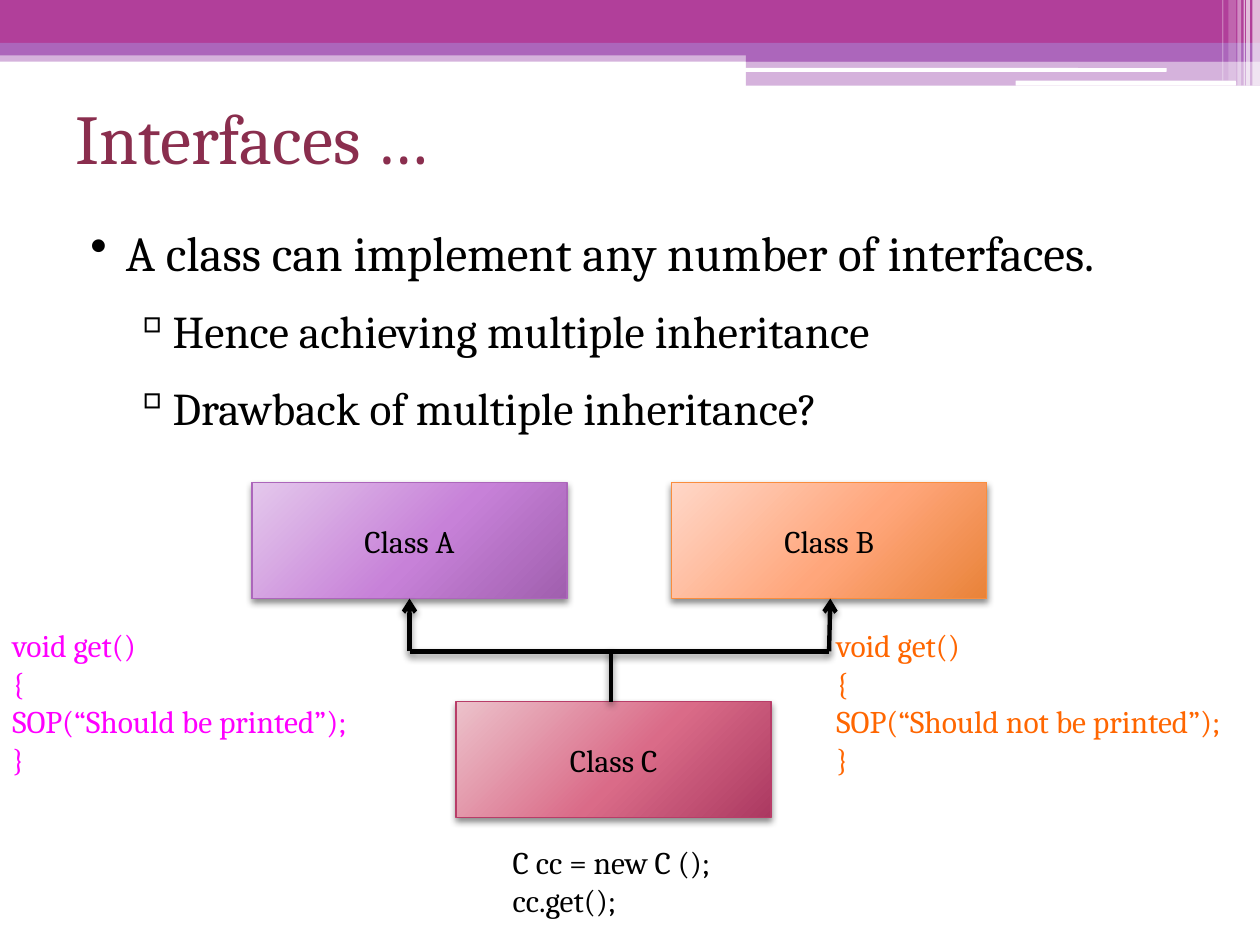
from dataclasses import dataclass

from pptx import Presentation
from pptx.dml.color import RGBColor
from pptx.enum.shapes import MSO_CONNECTOR, MSO_SHAPE
from pptx.enum.text import MSO_ANCHOR, MSO_AUTO_SIZE, PP_ALIGN
from pptx.oxml import parse_xml
from pptx.oxml.ns import qn
from pptx.util import Inches, Pt

RECTANGLE, ROUNDED = MSO_SHAPE.RECTANGLE, MSO_SHAPE.ROUNDED_RECTANGLE
STRAIGHT = MSO_CONNECTOR.STRAIGHT
MIDDLE, CENTER = MSO_ANCHOR.MIDDLE, PP_ALIGN.CENTER
GROW = MSO_AUTO_SIZE.SHAPE_TO_FIT_TEXT
NAMESPACE = 'xmlns:a="http://schemas.openxmlformats.org/drawingml/2006/main"'


@dataclass(frozen=True)
class Theme:
    """Colours and type sizes of the slide."""
    font: str = "Cambria"
    magenta: str = "B13F9A"
    purple: str = "AC66BB"
    white: str = "FFFFFF"
    black: str = "000000"
    title: str = "8A2E4E"
    pink_code: str = "FF00FF"
    orange_code: str = "FF6600"
    title_size: float = 40
    bullet_size: float = 28
    sub_bullet_size: float = 26
    label_size: float = 18


@dataclass(frozen=True)
class Band:
    """One plain rectangle of the header."""
    left: float
    top: float
    width: float
    height: float
    color: str
    opacity: int = 100
    kind: int = RECTANGLE


@dataclass(frozen=True)
class ClassBox:
    """A class with its gradient colours and outline."""
    name: str
    left: float
    top: float
    gradient: tuple[str, str, str]
    outline: str


@dataclass(frozen=True)
class Link:
    """A line between two points."""
    start: tuple[float, float]
    end: tuple[float, float]
    arrow: bool = False


@dataclass(frozen=True)
class Code:
    """A block of code lines."""
    left: float
    top: float
    width: float
    height: float
    color: str
    lines: tuple[str, ...]


@dataclass(frozen=True)
class Bullet:
    """A bulleted paragraph."""
    text: str
    mark: str
    size: float
    margin: float
    indent: float
    level: int = 0


THEME = Theme()
BOX_WIDTH, BOX_HEIGHT = 2.5, 0.92
BANDS = [
    Band(0, 0.4, 10, 0.09, THEME.purple, 50),
    Band(0, 0, 10, 0.34, THEME.magenta),
    Band(0, 0.34, 10, 0.1, THEME.purple),
    Band(5.92, 0.39, 4.08, 0.1, THEME.purple),
    Band(5.92, 0.48, 4.08, 0.2, THEME.purple, 50),
    Band(5.91, 0.54, 3.35, 0.03, THEME.white, 100, ROUNDED),
    Band(8.06, 0.64, 1.75, 0.04, THEME.white, 100, ROUNDED),
] + [
    Band(left, 0, width, height, THEME.white, opacity)
    for left, width, height, opacity in [
        (9.94, 0.06, 0.68, 65), (9.89, 0.03, 0.68, 65), (9.87, 0.01, 0.68, 60),
        (9.82, 0.03, 0.68, 40), (9.75, 0.06, 0.64, 20), (9.7, 0.01, 0.64, 30)]
]
BULLETS = [
    Bullet("A class can implement any number of interfaces.", "•",
           THEME.bullet_size, 0.4, -0.28),
    Bullet("Hence achieving multiple inheritance", "▫",
           THEME.sub_bullet_size, 0.72, -0.27, 1),
    Bullet("Drawback of multiple inheritance?", "▫",
           THEME.sub_bullet_size, 0.72, -0.27, 1),
]
CLASSES = [
    ClassBox("Class A", 2, 3.83, ("E4C8EC", "C781D8", "A05FAE"), "AC66BB"),
    ClassBox("Class B", 5.33, 3.83, ("FFD7C8", "FFA67B", "E98339"), "FA8D3D"),
    ClassBox("Class C", 3.62, 5.57, ("ECC2CB", "DA6B88", "AB3961"), "B83D68"),
]
LINKS = [
    Link((6.58, 5.17), (6.59, 4.75), True),
    Link((3.25, 5.17), (3.25, 4.75), True),
    Link((4.85, 5.57), (4.85, 5.15)),
    Link((3.25, 5.17), (6.58, 5.17)),
]
CODES = [
    Code(6.54, 4.92, 3.6, 1.31, THEME.orange_code,
         ("void get()", "{", "SOP(“Should not be printed”);", "}")),
    Code(0, 4.92, 3.16, 1.31, THEME.pink_code,
         ("void get()", "{", "SOP(“Should be printed”);", "}")),
    Code(3.97, 6.64, 1.95, 0.71, THEME.black, ("C cc = new C ();", "cc.get();")),
]


def xml(text: str):
    """Make a drawing element, adding the namespace to its first tag."""
    tag, rest = text.split(" ", 1)
    return parse_xml(f"{tag} {NAMESPACE} {rest}")


def soft_shadow():
    """Return the effect list shared by boxes and lines."""
    return xml('<a:effectLst ><a:outerShdw blurRad="50800" dist="25400" dir="5400000" '
               'rotWithShape="0"><a:srgbClr val="000000"><a:alpha val="45000"/>'
               '</a:srgbClr></a:outerShdw></a:effectLst>')


def style_text(paragraph, size: float, color: str) -> None:
    """Format every run of a paragraph."""
    for run in paragraph.runs:
        run.font.name, run.font.size = THEME.font, Pt(size)
        run.font.color.rgb = RGBColor.from_string(color)


def add_band(slide, band: Band) -> None:
    """Draw one header band."""
    shape = slide.shapes.add_shape(band.kind, Inches(band.left), Inches(band.top),
                                   Inches(band.width), Inches(band.height))
    shape.shadow.inherit = False
    shape.line.fill.background()
    shape.fill.solid()
    shape.fill.fore_color.rgb = RGBColor.from_string(band.color)
    if band.opacity < 100:
        color = shape._element.spPr.find(qn("a:solidFill"))[0]
        color.append(xml(f'<a:alpha val="{band.opacity * 1000}"/>'))


def add_title(slide, text: str) -> None:
    """Write the slide title."""
    frame = slide.shapes.add_textbox(Inches(0.5), Inches(0.67),
                                     Inches(9), Inches(0.83)).text_frame
    frame.word_wrap, frame.vertical_anchor = True, MIDDLE
    frame.text = text
    style_text(frame.paragraphs[0], THEME.title_size, THEME.title)


def add_bullets(slide, bullets: list[Bullet]) -> None:
    """Write the bulleted body."""
    frame = slide.shapes.add_textbox(Inches(0.5), Inches(1.58),
                                     Inches(9), Inches(5.08)).text_frame
    frame.word_wrap = True
    frame.text = "\n".join(bullet.text for bullet in bullets)
    for paragraph, bullet in zip(frame.paragraphs, bullets):
        paragraph.level, paragraph.line_spacing = bullet.level, 1.3
        paragraph.space_before = Pt(3)
        properties = paragraph._p.get_or_add_pPr()
        properties.set("marL", str(Inches(bullet.margin)))
        properties.set("indent", str(Inches(bullet.indent)))
        properties.append(xml(f'<a:buChar char="{bullet.mark}"/>'))
        style_text(paragraph, bullet.size, THEME.black)


def add_class(slide, box: ClassBox) -> None:
    """Draw a class box with its radial gradient and shadow."""
    shape = slide.shapes.add_shape(RECTANGLE, Inches(box.left), Inches(box.top),
                                   Inches(BOX_WIDTH), Inches(BOX_HEIGHT))
    stops = "".join(f'<a:gs pos="{place * 1000}"><a:srgbClr val="{color}"/></a:gs>'
                    for place, color in zip((0, 55, 100), box.gradient))
    shape.fill.solid()
    properties = shape._element.spPr
    properties.replace(properties.find(qn("a:solidFill")), xml(
        f'<a:gradFill rotWithShape="1"><a:gsLst>{stops}</a:gsLst><a:path path="circle">'
        '<a:fillToRect l="-40000" t="-90000" r="140000" b="190000"/></a:path></a:gradFill>'))
    shape.line.color.rgb = RGBColor.from_string(box.outline)
    shape.line.width = Pt(0.75)
    properties.append(soft_shadow())
    frame = shape.text_frame
    frame.text, frame.vertical_anchor = box.name, MIDDLE
    frame.paragraphs[0].alignment = CENTER
    style_text(frame.paragraphs[0], THEME.label_size, THEME.black)


def add_link(slide, link: Link) -> None:
    """Draw a line, with an arrowhead at its end when asked."""
    connector = slide.shapes.add_connector(
        STRAIGHT, *(Inches(value) for value in link.start + link.end))
    connector.line.color.rgb = RGBColor.from_string(THEME.black)
    connector.line.width = Pt(2.5)
    properties = connector._element.spPr
    if link.arrow:
        properties.find(qn("a:ln")).append(xml('<a:tailEnd type="arrow"/>'))
    properties.append(soft_shadow())


def add_code(slide, code: Code) -> None:
    """Write a block of code."""
    frame = slide.shapes.add_textbox(Inches(code.left), Inches(code.top),
                                     Inches(code.width), Inches(code.height)).text_frame
    frame.word_wrap, frame.auto_size = False, GROW
    frame.text = "\n".join(code.lines)
    for paragraph in frame.paragraphs:
        style_text(paragraph, THEME.label_size, code.color)


def main() -> None:
    """Build and save the slide."""
    presentation = Presentation()
    presentation.slide_width, presentation.slide_height = Inches(10), Inches(7.5)
    slide = presentation.slides.add_slide(presentation.slide_layouts[6])
    for band in BANDS:
        add_band(slide, band)
    add_title(slide, "Interfaces …")
    add_bullets(slide, BULLETS)
    for box in CLASSES:
        add_class(slide, box)
    for link in LINKS:
        add_link(slide, link)
    for code in CODES:
        add_code(slide, code)
    presentation.save("out.pptx")


main()
